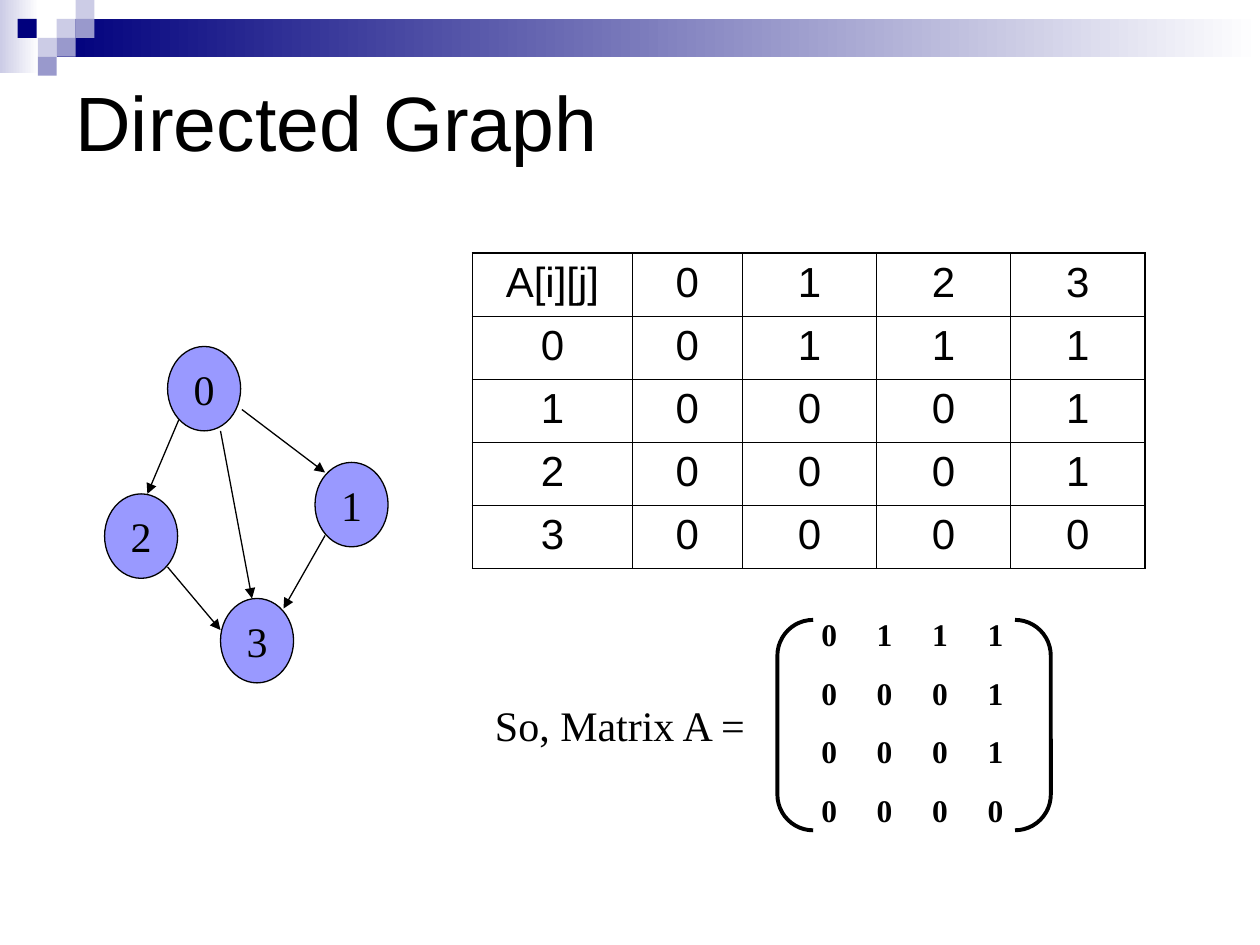
from lxml import etree
from pptx import Presentation
from pptx import util as u
from pptx.dml.color import RGBColor
from pptx.enum import shapes, text
from pptx.oxml import ns

BLACK = RGBColor(0x00, 0x00, 0x00)
WHITE = RGBColor(0xFF, 0xFF, 0xFF)
NAVY = RGBColor(0x00, 0x00, 0x7D)
LAVENDER = RGBColor(0xCC, 0xCC, 0xE6)
MAUVE = RGBColor(0x99, 0x99, 0xCC)
NODE_BLUE = RGBColor(0x99, 0x99, 0xFF)

SANS, SERIF = "Arial", "Times New Roman"
SQUARE = 0.15
NODE_SIZE = (0.58, 0.67)
TAB_STEP = 0.44

ADJACENCY = [[0, 1, 1, 1], [0, 0, 0, 1], [0, 0, 0, 1], [0, 0, 0, 0]]
NODES = {"0": (1.33, 2.75), "1": (2.5, 3.67), "3": (1.75, 4.75), "2": (0.83, 3.92)}
EDGES = [
    ((1.42, 3.33), (1.17, 3.92)),
    ((1.33, 4.5), (1.75, 5)),
    ((1.92, 3.25), (2.58, 3.75)),
    ((2.58, 4.25), (2.25, 4.83)),
    ((1.75, 3.42), (2, 4.75)),
]


def inches(*lengths):
    return [u.Inches(length) for length in lengths]


def style(paragraph, name, size, bold=False):
    font = paragraph.font
    font.name, font.size, font.bold = name, u.Pt(size), bold
    font.color.rgb = BLACK


def add_plain_shape(slide, kind, box):
    shape = slide.shapes.add_shape(kind, *inches(*box))
    shape.shadow.inherit = False
    return shape


def add_block(slide, box, color):
    block = add_plain_shape(slide, shapes.MSO_SHAPE.RECTANGLE, box)
    block.fill.solid()
    block.fill.fore_color.rgb = color
    block.line.fill.background()


def add_fading_bar(slide, box, color):
    bar = add_plain_shape(slide, shapes.MSO_SHAPE.RECTANGLE, box)
    bar.line.fill.background()
    bar.fill.gradient()
    bar.fill.gradient_angle = 180
    for stop, (position, shade) in zip(bar.fill.gradient_stops, [(0, WHITE), (1, color)]):
        stop.position = position
        stop.color.rgb = shade


def add_banner(slide):
    add_fading_bar(slide, (0, 0, 0.31, 0.58), LAVENDER)
    add_fading_bar(slide, (0.45, 0.15, 9.55, 0.3), NAVY)
    squares = [(3, 1, LAVENDER), (4, 0, LAVENDER), (4, 1, MAUVE), (2, 2, LAVENDER),
               (3, 2, MAUVE), (2, 3, MAUVE)]
    for column, row, color in squares:
        add_block(slide, (column * SQUARE, row * SQUARE, SQUARE, SQUARE), color)
    add_block(slide, (0.14, SQUARE, SQUARE, SQUARE), NAVY)


def add_text(slide, box, words, name, size, anchor=text.MSO_ANCHOR.TOP):
    frame = slide.shapes.add_textbox(*inches(*box)).text_frame
    frame.word_wrap = True
    frame.vertical_anchor = anchor
    frame.text = words
    style(frame.paragraphs[0], name, size)


def set_borders(cell, widths):
    properties = cell._tc.get_or_add_tcPr()
    for index, (side, width) in enumerate(zip("LRTB", widths)):
        line = etree.Element(ns.qn(f"a:ln{side}"), w=str(u.Pt(width)))
        fill = etree.SubElement(line, ns.qn("a:solidFill"))
        etree.SubElement(fill, ns.qn("a:srgbClr"), val=str(BLACK))
        properties.insert(index, line)


def add_adjacency_table(slide):
    rows = [["A[i][j]", 0, 1, 2, 3]]
    rows += [[node, *links] for node, links in enumerate(ADJACENCY)]
    last = len(rows) - 1
    table = slide.shapes.add_table(len(rows), len(rows), *inches(3.75, 2.01, 5.34, 2.5)).table
    table.first_row = table.horz_banding = False
    for column, width in zip(table.columns, (1.27, 0.87, 1.07, 1.06, 1.07)):
        column.width = u.Inches(width)
    for r, row in enumerate(rows):
        for c, value in enumerate(row):
            cell = table.cell(r, c)
            cell.text = str(value)
            paragraph = cell.text_frame.paragraphs[0]
            paragraph.alignment = text.PP_ALIGN.CENTER
            style(paragraph, SANS, 24)
            cell.fill.background()
            outer = (c == 0, c == last, r == 0, r == last)
            set_borders(cell, [1.08 if edge else 0.45 for edge in outer])


def add_node(slide, label, position):
    node = add_plain_shape(slide, shapes.MSO_SHAPE.OVAL, (*position, *NODE_SIZE))
    node.fill.solid()
    node.fill.fore_color.rgb = NODE_BLUE
    node.line.color.rgb = BLACK
    node.line.width = u.Pt(0.75)
    frame = node.text_frame
    frame.word_wrap = False
    frame.vertical_anchor = text.MSO_ANCHOR.MIDDLE
    frame.text = label
    frame.paragraphs[0].alignment = text.PP_ALIGN.CENTER
    style(frame.paragraphs[0], SERIF, 24)


def add_edge(slide, start, end):
    edge = slide.shapes.add_connector(shapes.MSO_CONNECTOR.STRAIGHT, *inches(*start, *end))
    edge.line.color.rgb = BLACK
    edge.line.width = u.Pt(0.75)
    etree.SubElement(edge.line._get_or_add_ln(), ns.qn("a:tailEnd"), type="triangle")
    etree.SubElement(edge._element.spPr, ns.qn("a:effectLst"))


def add_tab_stops(paragraph, count):
    stops = etree.SubElement(paragraph._p.get_or_add_pPr(), ns.qn("a:tabLst"))
    for stop in range(1, count + 1):
        etree.SubElement(stops, ns.qn("a:tab"), pos=str(u.Inches(stop * TAB_STEP)), algn="l")


def add_matrix(slide):
    brackets = add_plain_shape(slide, shapes.MSO_SHAPE.DOUBLE_BRACKET, (6.17, 4.92, 2.17, 1.67))
    brackets.adjustments[0] = 0.17
    brackets.fill.background()
    brackets.line.color.rgb = BLACK
    brackets.line.width = u.Pt(2.25)

    frame = slide.shapes.add_textbox(*inches(6.42, 4.83, 1.83, 1.77)).text_frame
    frame.word_wrap = True
    frame.text = "\n".join("\t".join(map(str, row)) for row in ADJACENCY)
    for index, paragraph in enumerate(frame.paragraphs):
        add_tab_stops(paragraph, len(ADJACENCY) - 1)
        if index:
            paragraph.space_before = u.Pt(12)
        style(paragraph, SERIF, 18, bold=True)


def main():
    deck = Presentation()
    deck.slide_width, deck.slide_height = inches(10, 7.5)
    slide = deck.slides.add_slide(deck.slide_layouts[6])
    add_banner(slide)
    add_text(slide, (0.5, 0.33, 9.42, 1.25), "Directed Graph", SANS, 44, text.MSO_ANCHOR.MIDDLE)
    add_adjacency_table(slide)
    for label, position in NODES.items():
        add_node(slide, label, position)
    for start, end in EDGES:
        add_edge(slide, start, end)
    add_text(slide, (3.83, 5.5, 2.42, 0.5), "So, Matrix A =", SERIF, 24)
    add_matrix(slide)
    deck.save("out.pptx")


if __name__ == "__main__":
    main()
